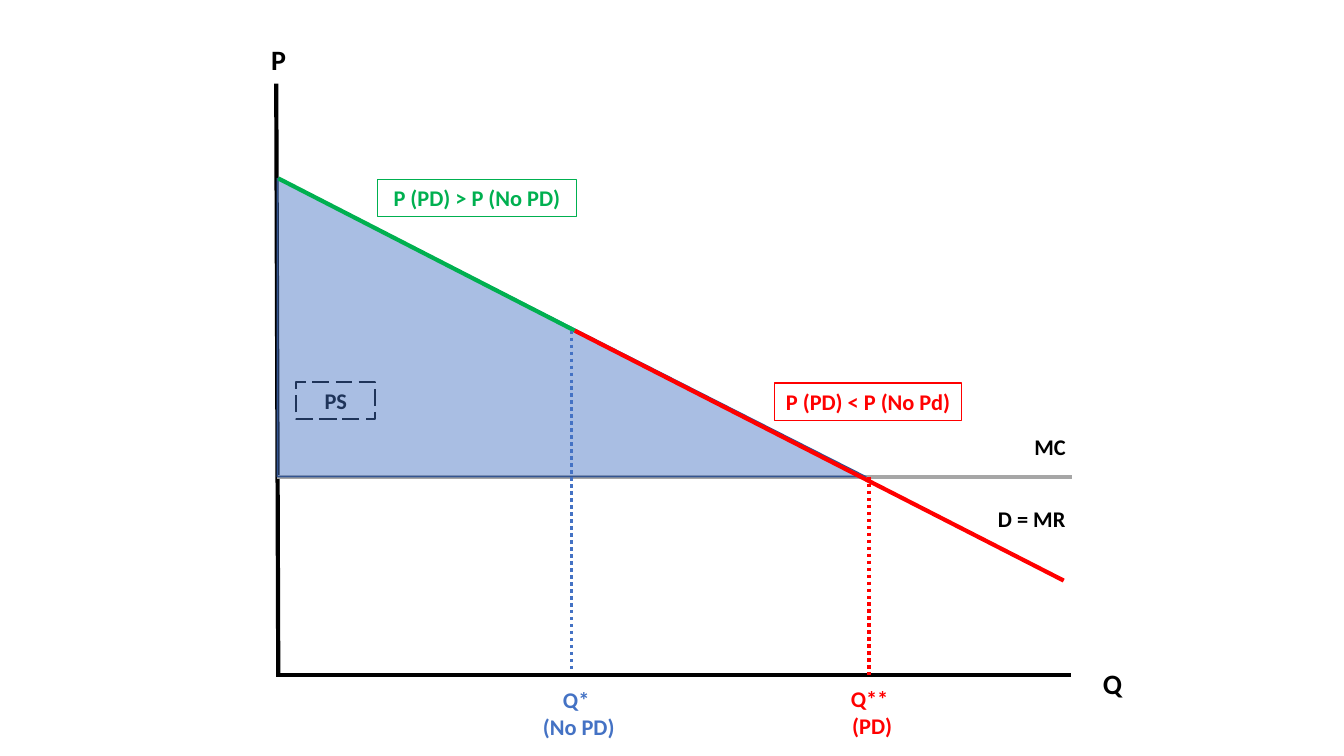
from dataclasses import dataclass

from lxml.etree import SubElement
from pptx import Presentation
from pptx.dml.color import RGBColor
from pptx.enum.dml import MSO_LINE
from pptx.enum.shapes import MSO_CONNECTOR, MSO_SHAPE
from pptx.enum.text import MSO_ANCHOR, MSO_AUTO_SIZE, PP_ALIGN
from pptx.oxml.ns import qn
from pptx.util import Inches, Pt


@dataclass(frozen=True)
class Theme:
    """Colours, font, type sizes and line widths of the diagram."""
    font: str = "Calibri"
    ink: str = "000000"
    cost: str = "A6A6A6"
    surplus: str = "4472C4"
    surplus_edge: str = "325491"
    higher: str = "00B050"
    lower: str = "FF0000"
    axis_size: int = 20
    label_size: int = 16
    heavy: float = 3
    medium: float = 2.5


class Diagram:
    """Draws styled elements on one slide."""

    def __init__(self, slide, theme):
        """Keep the slide and its theme."""
        self.shapes = slide.shapes
        self.theme = theme

    def set_line(self, line, color, width, dash=None):
        """Give a line its colour, width and dash."""
        line.color.rgb = RGBColor.from_string(color)
        for name, value in {"width": Pt(width), "dash_style": dash}.items():
            setattr(line, name, value)

    def line(self, start, end, color, width, dash=None):
        """Draw a straight line between two points."""
        points = [Inches(value) for value in (*start, *end)]
        connector = self.shapes.add_connector(MSO_CONNECTOR.STRAIGHT, *points)
        self.set_line(connector.line, color, width, dash)
        SubElement(connector._element.spPr, qn("a:effectLst"))

    def label(self, text, place, color, size=None, align=PP_ALIGN.LEFT,
              border=None, dash=None):
        """Write a bold label, framed when a border width is given."""
        box = self.shapes.add_textbox(*map(Inches, place))
        if border:
            self.set_line(box.line, color, border, dash)
        frame = box.text_frame
        frame_format = {"word_wrap": True, "vertical_anchor": MSO_ANCHOR.TOP,
                        "auto_size": MSO_AUTO_SIZE.SHAPE_TO_FIT_TEXT}
        for name, value in frame_format.items():
            setattr(frame, name, value)
        frame.text = text
        font_format = {"name": self.theme.font, "bold": True,
                       "size": Pt(size or self.theme.label_size)}
        for para in frame.paragraphs:
            para.alignment = align
            for span in para.runs:
                span.font.color.rgb = RGBColor.from_string(color)
                for name, value in font_format.items():
                    setattr(span.font, name, value)

    def triangle(self, place, color, edge, opacity):
        """Draw a translucent right triangle."""
        area = self.shapes.add_shape(MSO_SHAPE.RIGHT_TRIANGLE, *map(Inches, place))
        area.shadow.inherit = False
        area.fill.solid()
        area.fill.fore_color.rgb = RGBColor.from_string(color)
        fill_color = area._element.spPr.find(qn("a:solidFill"))[0]
        SubElement(fill_color, qn("a:alpha")).set("val", str(opacity * 1000))
        self.set_line(area.line, edge, 1)


def draw_price_discrimination(diagram):
    """Draw axes, cost, demand, producer surplus and quantities."""
    theme = diagram.theme
    center = PP_ALIGN.CENTER
    axis_left, axis_base, cost_level = 2.74, 6.7, 4.73
    demand_top, demand_split, demand_end = (2.76, 1.77), (5.7, 3.28), (10.55, 5.76)

    diagram.line((axis_left, 0.83), (2.76, axis_base), theme.ink, theme.heavy)
    diagram.line((10.62, axis_base), (axis_left, axis_base), theme.ink, theme.heavy)
    diagram.line((2.75, cost_level), (10.63, cost_level), theme.cost, theme.medium)

    for text, place, size in (
            ("D = MR", (9.8, 4.96, 1, 0.37), theme.label_size),
            ("MC", (10.16, 4.25, 0.6, 0.37), theme.label_size),
            ("P", (2.59, 0.37, 0.58, 0.44), theme.axis_size),
            ("Q", (10.84, 6.56, 0.49, 0.44), theme.axis_size)):
        diagram.label(text, place, theme.ink, size)

    diagram.label("PS", (2.94, 3.79, 0.78, 0.37), theme.ink, align=center,
                  border=1.5, dash=MSO_LINE.LONG_DASH)
    diagram.triangle((2.75, 1.77, 5.84, 2.96), theme.surplus, theme.surplus_edge, 46)

    diagram.line(demand_top, demand_split, theme.higher, theme.heavy)
    diagram.line((8.62, cost_level), (8.62, axis_base), theme.lower, theme.medium,
                 MSO_LINE.ROUND_DOT)
    diagram.line(demand_split, demand_end, theme.lower, theme.heavy)

    for text, place, color in (
            ("P (PD) > P (No PD)", (3.74, 1.78, 1.98, 0.37), theme.higher),
            ("P (PD) < P (No Pd)", (7.68, 3.8, 1.86, 0.37), theme.lower)):
        diagram.label(text, place, color, align=center, border=0.75)

    diagram.line((5.67, 3.28), (5.67, 6.66), theme.surplus, theme.medium,
                 MSO_LINE.ROUND_DOT)
    for text, place, color in (
            ("Q** \n(PD)", (7.96, 6.75, 1.38, 0.64), theme.lower),
            ("Q* \n(No PD)", (5.05, 6.76, 1.38, 0.64), theme.surplus)):
        diagram.label(text, place, color, align=center)


def main():
    """Build and save the deck."""
    deck = Presentation()
    deck.slide_width, deck.slide_height = Inches(13.33), Inches(7.5)
    page = deck.slides.add_slide(deck.slide_layouts[6])
    draw_price_discrimination(Diagram(page, Theme()))
    deck.save("out.pptx")


main()
